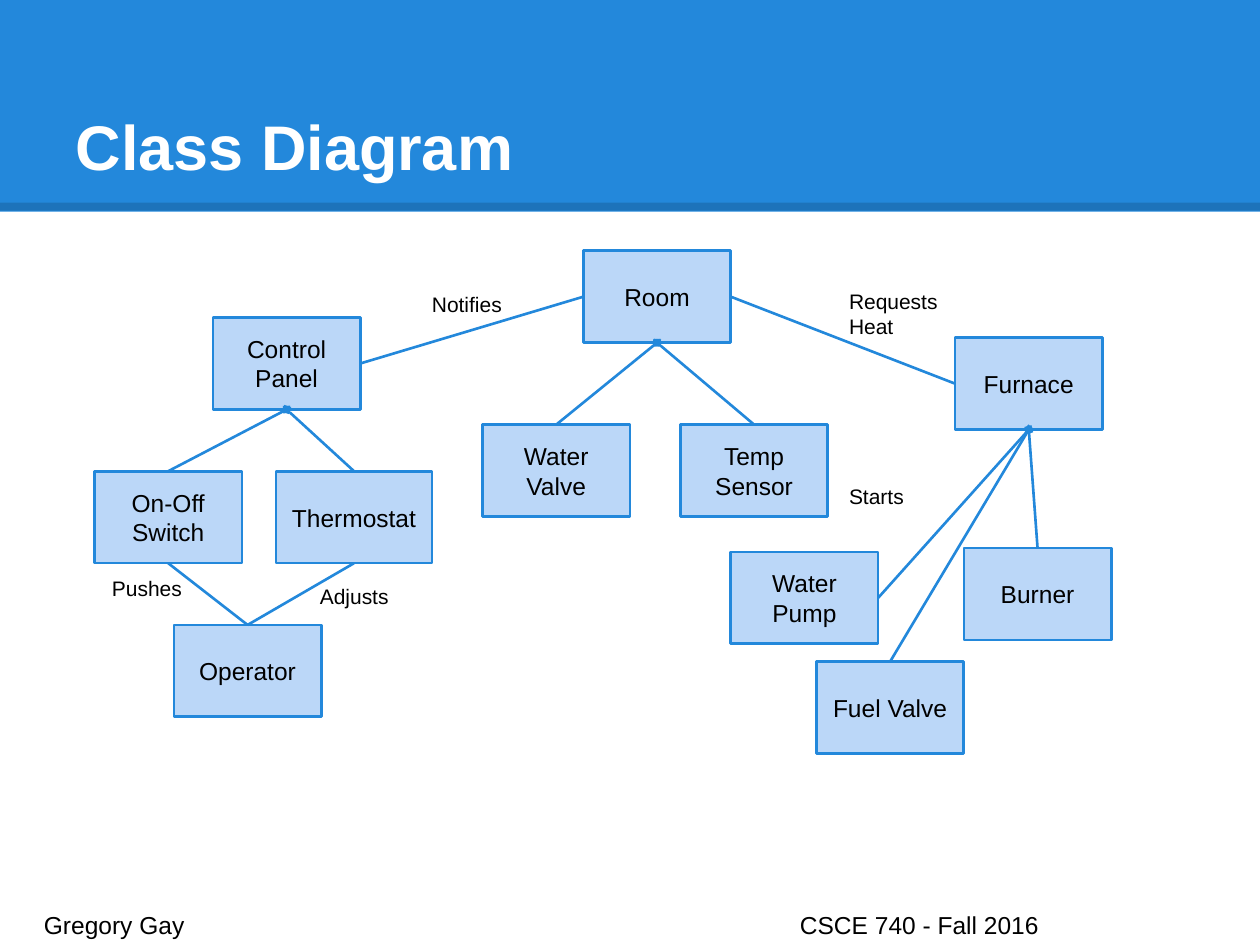
import pptx
import pptx.util
import pptx.dml.color
import pptx.enum.shapes
import pptx.enum.text
import lxml.etree

Inches = pptx.util.Inches
Pt = pptx.util.Pt
SHAPE = pptx.enum.shapes.MSO_SHAPE
LINE = pptx.enum.shapes.MSO_CONNECTOR.STRAIGHT
ALIGN = pptx.enum.text.PP_ALIGN
ANCHOR = pptx.enum.text.MSO_ANCHOR
HUES = {"blue": "2388DB", "pale": "BBD7F8", "white": "FFFFFF", "black": "000000"}
TOP, LEFT, BASE, RIGHT = range(4)  # connection sites of a rectangle

# name: left, top, width
NODES = {
    "Control Panel": (1.69, 2.52, 1.17),
    "On-Off Switch": (0.75, 3.74, 1.17),
    "Thermostat": (2.19, 3.74, 1.24),
    "Room": (4.63, 1.99, 1.17),
    "Operator": (1.38, 4.96, 1.17),
    "Furnace": (7.58, 2.68, 1.17),
    "Water Pump": (5.8, 4.38, 1.17),
    "Burner": (7.65, 4.35, 1.17),
    "Fuel Valve": (6.48, 5.25, 1.17),
    "Temp Sensor": (5.4, 3.37, 1.17),
    "Water Valve": (3.83, 3.37, 1.17),
}
# from, site, to, site, diamond at the end
LINKS = [
    ("Water Valve", TOP, "Room", BASE, True),
    ("Temp Sensor", TOP, "Room", BASE, True),
    ("Fuel Valve", TOP, "Furnace", BASE, True),
    ("Burner", TOP, "Furnace", BASE, True),
    ("On-Off Switch", TOP, "Control Panel", BASE, True),
    ("Thermostat", TOP, "Control Panel", BASE, True),
    ("Operator", TOP, "On-Off Switch", BASE, False),
    ("Operator", TOP, "Thermostat", BASE, False),
    ("Control Panel", RIGHT, "Room", LEFT, False),
    ("Room", RIGHT, "Furnace", LEFT, False),
    ("Water Pump", RIGHT, "Furnace", BASE, False),
]
LABELS = {
    "Pushes": (0.79, 4.47),
    "Adjusts": (2.44, 4.53),
    "Notifies": (3.33, 2.21),
    "Requests Heat": (6.64, 2.19),
    "Starts": (6.64, 3.74),
}


def hue(name):
    return pptx.dml.color.RGBColor.from_string(HUES[name])


def add_tag(node, name, **attrs):
    return lxml.etree.SubElement(node, pptx.oxml.ns.qn(name), attrs)


def write(shape, text, size=14, color="black", bold=False,
          align=ALIGN.LEFT, anchor=ANCHOR.TOP, tab=None):
    frame = shape.text_frame
    frame.word_wrap = True
    frame.auto_size = pptx.enum.text.MSO_AUTO_SIZE.NONE
    frame.vertical_anchor = anchor
    frame.margin_left = frame.margin_right = Inches(0.1)
    frame.margin_top = frame.margin_bottom = Inches(0.1)
    para = frame.paragraphs[0]
    para.text = text
    para.alignment = align
    if tab:
        tabs = add_tag(para._p.get_or_add_pPr(), "a:tabLst")
        add_tag(tabs, "a:tab", pos=str(Inches(tab)), algn="l")
    font = para.runs[0].font
    font.name, font.size, font.bold = "Arial", Pt(size), bold
    font.color.rgb = hue(color)


def add_text(slide, text, box, **style):
    shape = slide.shapes.add_textbox(*map(Inches, box))
    write(shape, text, **style)


def add_rect(slide, box, fill, edge=None):
    rect = slide.shapes.add_shape(SHAPE.RECTANGLE, *map(Inches, box))
    rect.shadow.inherit = False
    rect.fill.solid()
    rect.fill.fore_color.rgb = hue(fill)
    if edge:
        rect.line.color.rgb = hue(edge)
        rect.line.width = Pt(1.5)
    else:
        rect.line.fill.background()
    return rect


def add_line(slide, ends=(0, 0, 0, 0), color="blue", width=1.5):
    line = slide.shapes.add_connector(LINE, *map(Inches, ends))
    line.line.color.rgb = hue(color)
    line.line.width = Pt(width)
    add_tag(line.element.spPr, "a:effectLst")
    return line


def add_head(slide, text, box):
    x, y, w, h = box
    band = add_rect(slide, box, "blue")
    rule = add_line(slide, (x, y + h - 0.04, x + w, y + h - 0.04), "black", 4.5)
    tint = rule.line.fill._xPr.find(".//" + pptx.oxml.ns.qn("a:srgbClr"))
    add_tag(tint, "a:alpha", val="15000")
    title = slide.shapes.title
    title.left, title.top = Inches(x + 0.5), Inches(y + 0.3)
    title.width, title.height = Inches(w - 1), Inches(1.25)
    write(title, text, size=36, color="white", bold=True, anchor=ANCHOR.BOTTOM)
    # The band and its rule go behind the title
    for part in (band, rule):
        title.element.addprevious(part.element)


def add_graph(slide, box):
    x, y = box[:2]
    # Classes
    nodes = {}
    for name, (dx, dy, wide) in NODES.items():
        node = add_rect(slide, (x + dx, y + dy, wide, 0.73), "pale", "blue")
        write(node, name, align=ALIGN.CENTER, anchor=ANCHOR.MIDDLE)
        nodes[name] = node
    # Links, glued to the classes
    for start, out, end, into, gem in LINKS:
        link = add_line(slide)
        link.begin_connect(nodes[start], out)
        link.end_connect(nodes[end], into)
        if gem:
            add_tag(link.line._get_or_add_ln(), "a:tailEnd", type="diamond")
    # Link labels
    for text, (dx, dy) in LABELS.items():
        add_text(slide, text, (x + dx, y + dy, 0.94, 0.49), size=12)


def main():
    deck = pptx.Presentation()
    deck.slide_width, deck.slide_height = Inches(10), Inches(7.5)
    slide = deck.slides.add_slide(deck.slide_layouts[5])
    add_head(slide, "Class Diagram", (0, 0, 10, 1.68))
    add_text(slide, "Gregory Gay\tCSCE 740 - Fall 2016", (0.25, 7.12, 9.51, 0.3), tab=6)
    add_graph(slide, (0, 0, 10, 7.5))
    deck.save("out.pptx")


if __name__ == "__main__":
    main()
